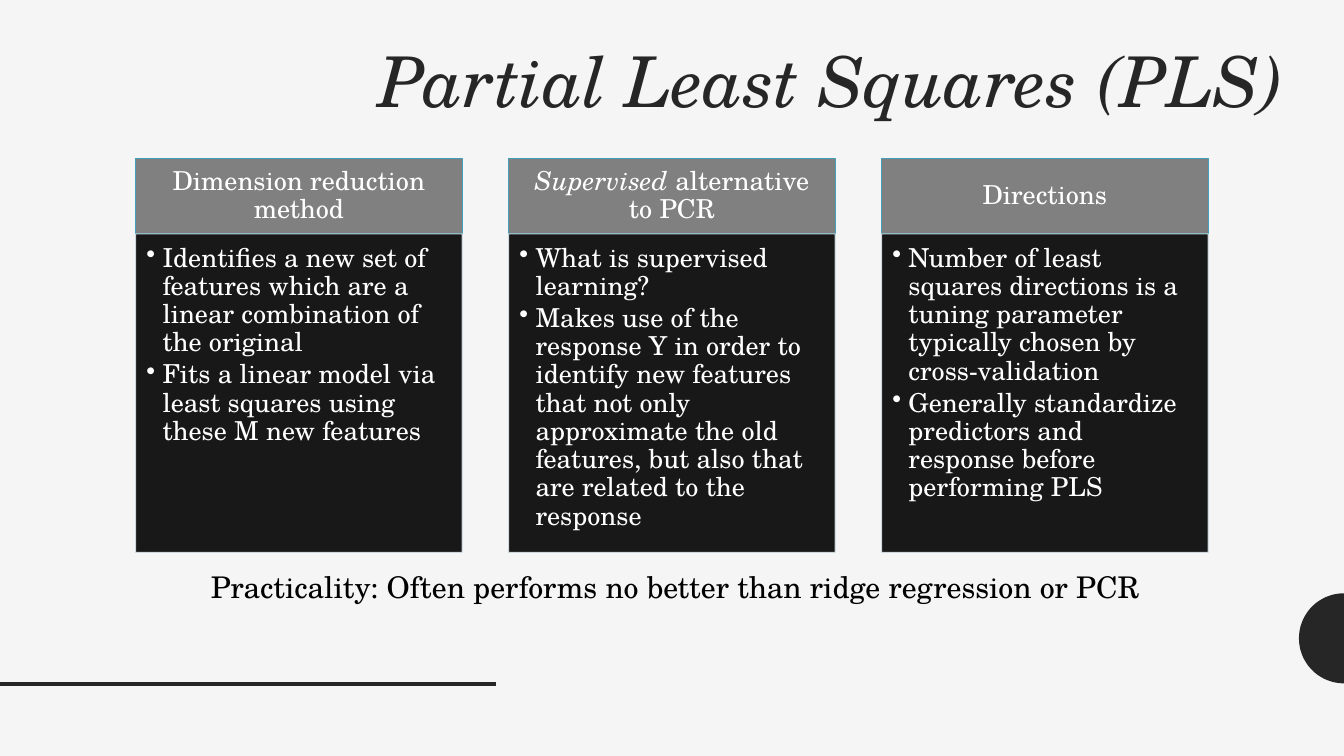
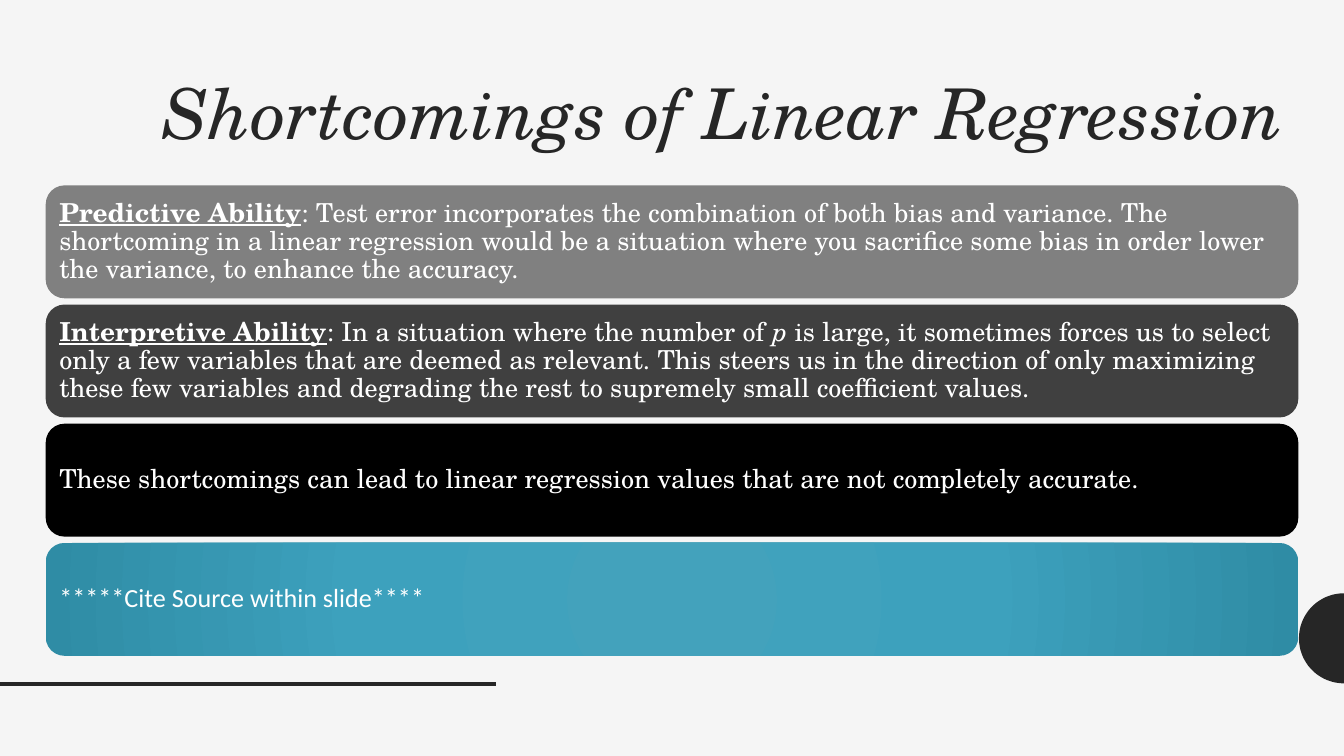
from dataclasses import dataclass
from math import cos, pi, sin
from typing import Any, NamedTuple

from lxml.etree import SubElement, fromstring
from pptx import Presentation
from pptx.dml.color import RGBColor
from pptx.enum.shapes import MSO_CONNECTOR, MSO_SHAPE
from pptx.enum.text import MSO_ANCHOR, MSO_AUTO_SIZE, PP_ALIGN
from pptx.oxml.ns import nsdecls, qn
from pptx.util import Inches, Pt

# The slide is a grid of 100 columns; rows are as high as columns are wide.
CELL = Inches(0.1)
COLUMNS, ROWS = 100, 56.25

PAPER = RGBColor(0xF5, 0xF5, 0xF5)
INK = RGBColor(0x26, 0x26, 0x26)
BLACK = RGBColor(0, 0, 0)
WHITE = RGBColor(0xFF, 0xFF, 0xFF)
GRAY = RGBColor(0x80, 0x80, 0x80)
CHARCOAL = RGBColor(0x40, 0x40, 0x40)
TEAL = RGBColor(0x43, 0x9E, 0xB7)
PALE_BLUE = RGBColor(0xCF, 0xDF, 0xE6)
GLOW = ((0, RGBColor(0x43, 0xA2, 0xBC)), (50, RGBColor(0x3D, 0xA1, 0xBD)),
        (100, RGBColor(0x2F, 0x8C, 0xA5)))

SERIF, SANS = "TeX Gyre Schola", "Calibri"
TITLE_FONT = {"name": SERIF, "size": Pt(37.5), "italic": True}
TEXT_FONT = {"name": SERIF, "size": Pt(14)}
NOTE_FONT = {"name": SERIF, "size": Pt(16)}
ITALIC = {"italic": True}
TERM = {"bold": True, "underline": True}


class Box(NamedTuple):
    left: float
    top: float
    width: float
    height: float

    def emu(self) -> list[int]:
        return [grid(length) for length in self]


class Span(NamedTuple):
    text: str
    style: dict[str, Any] = {}


class Insets(NamedTuple):
    margin_left: float
    margin_top: float
    margin_right: float
    margin_bottom: float


@dataclass
class Topic:
    heading: list[Span]
    points: list[str]


@dataclass
class Statement:
    spans: list[Span]
    fill: RGBColor | None


TITLE_INSETS = Insets(1, 1, 1, 1)
HEADING_INSETS = Insets(1.1, 0.6, 1.1, 0.6)
POINTS_INSETS = Insets(0.8, 0.8, 1.1, 1.2)
NOTE_INSETS = Insets(1, 0.5, 1, 0.5)

TOPICS = [
    Topic([Span("Dimension reduction method")],
          ["Identifies a new set of features which are a linear combination of the original",
           "Fits a linear model via least squares using these M new features"]),
    Topic([Span("Supervised", ITALIC), Span(" alternative to PCR")],
          ["What is supervised learning?",
           "Makes use of the response Y in order to identify new features that not only "
           "approximate the old features, but also that are related to the response"]),
    Topic([Span("Directions")],
          ["Number of least squares directions is a tuning parameter typically chosen by "
           "cross-validation",
           "Generally standardize predictors and response before performing PLS"]),
]
STATEMENTS = [
    Statement([Span("Predictive Ability", TERM),
               Span(": Test error incorporates the combination of both bias and variance. The "
                    "shortcoming in a linear regression would be a situation where you sacrifice "
                    "some bias in order lower the variance, to enhance the accuracy.")], GRAY),
    Statement([Span("Interpretive Ability", TERM),
               Span(": In a situation where the number of "), Span("p", ITALIC),
               Span(" is large, it sometimes forces us to select only a few variables that are "
                    "deemed as relevant. This steers us in the direction of only maximizing "
                    "these few variables and degrading the rest to supremely small coefficient "
                    "values.")], CHARCOAL),
    Statement([Span("These shortcomings can lead to linear regression values that are not "
                    "completely accurate.")], BLACK),
    Statement([Span("*****Cite Source within slide****", {"name": SANS})], None),
]


def grid(cells: float) -> int:
    return round(cells * CELL)


def set_frame(frame, insets: Insets, anchor: MSO_ANCHOR) -> None:
    margins = {side: grid(cells) for side, cells in insets._asdict().items()}
    settings = {**margins, "word_wrap": True, "auto_size": MSO_AUTO_SIZE.NONE,
                "vertical_anchor": anchor}
    for attribute, value in settings.items():
        setattr(frame, attribute, value)


def write(paragraph, spans: list[Span], font: dict[str, Any], color: RGBColor,
          align: PP_ALIGN = PP_ALIGN.LEFT, spacing: float = 0.9) -> None:
    paragraph.alignment = align
    paragraph.line_spacing = spacing
    paragraph.space_before = Pt(0)
    for span in spans:
        run = paragraph.add_run()
        run.text = span.text
        for attribute, value in {**font, **span.style}.items():
            setattr(run.font, attribute, value)
        run.font.color.rgb = color


def add_bullet(paragraph) -> None:
    paragraph.level = 1
    properties = paragraph._p.get_or_add_pPr()
    properties.set("marL", str(grid(1.2)))
    properties.set("indent", str(-grid(1.2)))
    SubElement(properties, qn("a:buChar"), char="•")


def add_panel(slide, preset: MSO_SHAPE, box: Box, fill: RGBColor | None,
              outline: RGBColor | None = None):
    panel = slide.shapes.add_shape(preset, *box.emu())
    panel.shadow.inherit = False
    if fill is None:
        fill_with_glow(panel)
    else:
        panel.fill.solid()
        panel.fill.fore_color.rgb = fill
    if outline is None:
        panel.line.fill.background()
    else:
        panel.line.color.rgb = outline
        panel.line.width = Pt(0.5)
    return panel


def fill_with_glow(panel) -> None:
    stops = "".join(f'<a:gs pos="{share * 1000}"><a:srgbClr val="{color}"/></a:gs>'
                    for share, color in GLOW)
    gradient = fromstring(
        f'<a:gradFill {nsdecls("a")} rotWithShape="1"><a:gsLst>{stops}</a:gsLst>'
        '<a:path path="circle"><a:fillToRect l="100000" t="100000" r="100000" b="100000"/>'
        '</a:path></a:gradFill>')
    panel.element.spPr.find(qn("a:prstGeom")).addnext(gradient)


def set_opacity(panel, percent: int) -> None:
    for color in panel.element.spPr.iter(qn("a:srgbClr")):
        SubElement(color, qn("a:alpha"), val=str(percent * 1000))


def add_edge_disc(slide) -> None:
    """Draw the half disc that rests on the footer rule at the right edge."""
    middle, radius, steps = 47.5, 3.35, 48
    arc = [(grid(COLUMNS - radius * sin(pi * i / steps)),
            grid(middle - radius * cos(pi * i / steps))) for i in range(steps + 1)]
    builder = slide.shapes.build_freeform(*arc[0])
    builder.add_line_segments(arc[1:], close=True)
    disc = builder.convert_to_shape()
    disc.shadow.inherit = False
    disc.fill.solid()
    disc.fill.fore_color.rgb = INK
    disc.line.fill.background()


def add_footer_rule(slide) -> None:
    rule = slide.shapes.add_connector(MSO_CONNECTOR.STRAIGHT, 0, grid(50.9),
                                      grid(36.9), grid(50.9))
    rule.line.color.rgb = INK
    rule.line.width = Pt(2)
    SubElement(rule.element.spPr, qn("a:effectLst"))


def add_titled_slide(deck, text: str, top: float):
    slide = deck.slides.add_slide(deck.slide_layouts.get_by_name("Title Only"))
    add_edge_disc(slide)
    add_footer_rule(slide)
    title = slide.shapes.title
    title.left, title.top, title.width, title.height = Box(3.4, top, 93.2, 6.3).emu()
    set_frame(title.text_frame, TITLE_INSETS, MSO_ANCHOR.TOP)
    write(title.text_frame.paragraphs[0], [Span(text)], TITLE_FONT, INK, PP_ALIGN.RIGHT)
    return slide


def add_topic(slide, topic: Topic, left: float, width: float) -> None:
    top, heading_height, points_height = 11.8, 5.6, 23.7
    heading = add_panel(slide, MSO_SHAPE.RECTANGLE, Box(left, top, width, heading_height),
                        GRAY, TEAL)
    set_frame(heading.text_frame, HEADING_INSETS, MSO_ANCHOR.MIDDLE)
    write(heading.text_frame.paragraphs[0], topic.heading, TEXT_FONT, WHITE, PP_ALIGN.CENTER)

    points = add_panel(slide, MSO_SHAPE.RECTANGLE,
                       Box(left, top + heading_height, width, points_height), BLACK, PALE_BLUE)
    set_opacity(points, 90)
    frame = points.text_frame
    set_frame(frame, POINTS_INSETS, MSO_ANCHOR.TOP)
    for i, point in enumerate(topic.points):
        paragraph = frame.add_paragraph() if i else frame.paragraphs[0]
        add_bullet(paragraph)
        write(paragraph, [Span(point)], TEXT_FONT, WHITE)
        paragraph.space_after = Pt(2)


def build_pls_slide(deck) -> None:
    slide = add_titled_slide(deck, "Partial Least Squares (PLS)", 2.5)
    margin, width = 10.1, 24.3
    pitch = (COLUMNS - 2 * margin - width) / (len(TOPICS) - 1)
    for i, topic in enumerate(TOPICS):
        add_topic(slide, topic, margin + i * pitch, width)
    verdict = slide.shapes.add_textbox(*Box(14.7, 41.8, 85.3, 3.7).emu())
    set_frame(verdict.text_frame, NOTE_INSETS, MSO_ANCHOR.TOP)
    write(verdict.text_frame.paragraphs[0],
          [Span("Practicality: Often performs no better than ridge regression or PCR")],
          NOTE_FONT, BLACK, spacing=1.0)


def build_shortcomings_slide(deck) -> None:
    slide = add_titled_slide(deck, "Shortcomings of Linear Regression", 4.9)
    top, bottom, height = 13.8, 48.8, 8.4
    pitch = (bottom - top - height) / (len(STATEMENTS) - 1)
    for i, statement in enumerate(STATEMENTS):
        bar = add_panel(slide, MSO_SHAPE.ROUNDED_RECTANGLE,
                        Box(3.4, top + i * pitch, 93.2, height), statement.fill)
        # The rounded corners already inset the text by about 0.4 cells.
        set_frame(bar.text_frame, Insets(0.6, 0.6, 0.6, 0.6), MSO_ANCHOR.MIDDLE)
        write(bar.text_frame.paragraphs[0], statement.spans, TEXT_FONT, WHITE)


def main() -> None:
    deck = Presentation()
    deck.slide_width, deck.slide_height = grid(COLUMNS), grid(ROWS)
    background = deck.slide_master.background.fill
    background.solid()
    background.fore_color.rgb = PAPER
    build_pls_slide(deck)
    build_shortcomings_slide(deck)
    deck.save("out.pptx")


if __name__ == "__main__":
    main()
